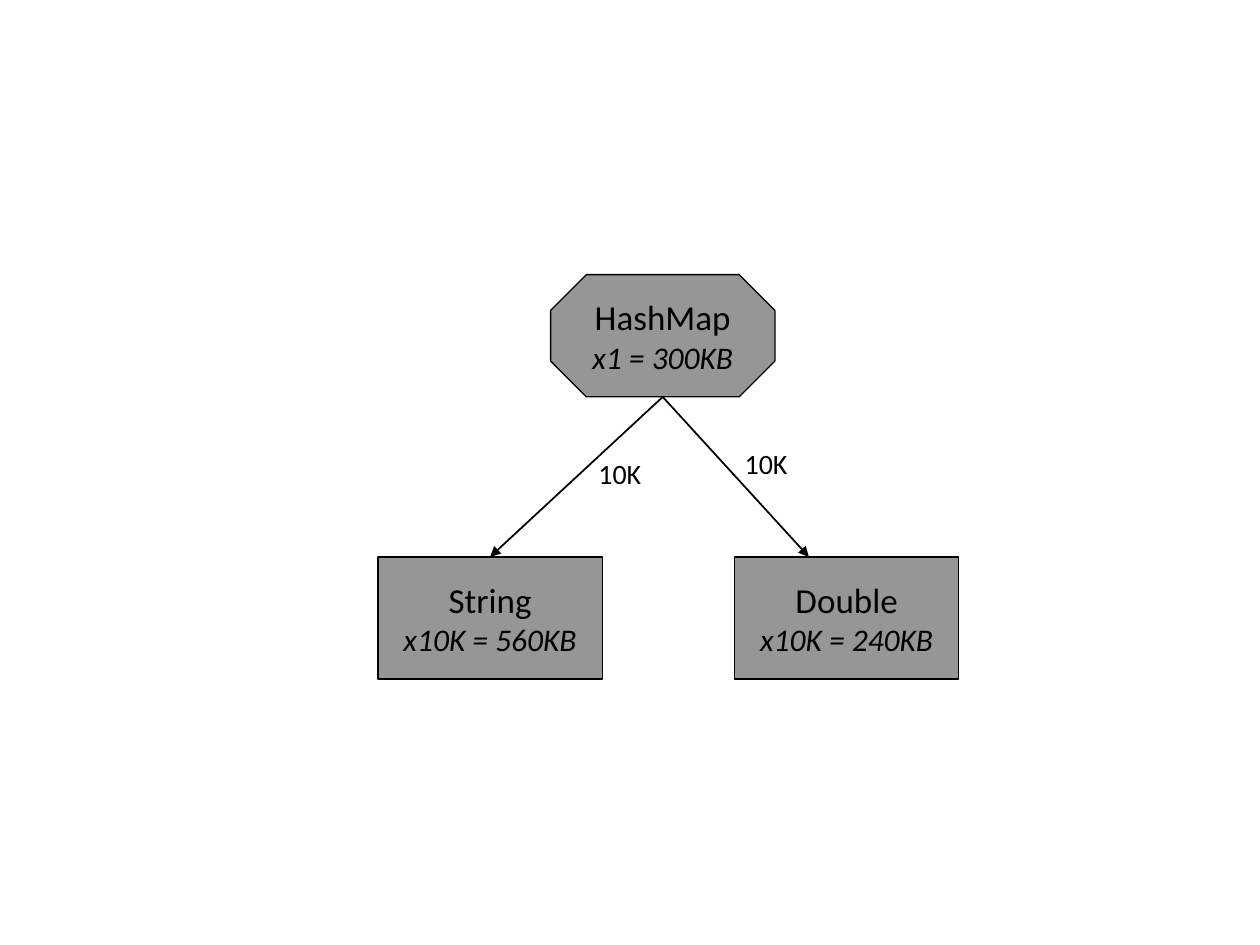
from dataclasses import dataclass

from lxml import etree
from pptx import Presentation
from pptx.dml.color import RGBColor
from pptx.enum.shapes import MSO_CONNECTOR, MSO_SHAPE
from pptx.enum.text import MSO_ANCHOR, MSO_AUTO_SIZE, PP_ALIGN
from pptx.oxml.ns import qn
from pptx.util import Inches, Pt

OCTAGON = MSO_SHAPE.OCTAGON
PROCESS = MSO_SHAPE.FLOWCHART_PROCESS
STRAIGHT = MSO_CONNECTOR.STRAIGHT
MIDDLE = MSO_ANCHOR.MIDDLE
GROW = MSO_AUTO_SIZE.SHAPE_TO_FIT_TEXT
FIXED = MSO_AUTO_SIZE.NONE
CENTER, LEFT = PP_ALIGN.CENTER, PP_ALIGN.LEFT

SLIDE_W, SLIDE_H = Inches(10), Inches(7.5)
COLORS = {"node": "969696", "ink": "000000"}
FRAME = {
    "margin_left": Inches(0.09),
    "margin_right": Inches(0.09),
    "margin_top": Inches(0.04),
    "margin_bottom": Inches(0.04),
    "vertical_anchor": MIDDLE,
    "word_wrap": False,
}
TITLE = {"size": Pt(20), "italic": False}
MEMORY = {"size": Pt(18), "italic": True}
COUNT = {"size": Pt(16), "italic": False}
NODE_W, NODE_H = 0.178, 0.97 / 7.5
COUNT_W, COUNT_H = 0.057, 0.048
MAP_TOP, ENTRY_TOP = 2.18 / 7.5, 4.42 / 7.5


@dataclass(frozen=True)
class Node:
    """A class and its memory use, placed by shares of the slide."""

    name: str
    memory: str
    left: float
    top: float
    outline: int = PROCESS


@dataclass(frozen=True)
class Reference:
    """An arrow from the map to an entry, with its count label."""

    end_x: float
    count: str
    count_left: float
    count_top: float


HASH_MAP = Node("HashMap", "x1 = 300KB", 0.437, MAP_TOP, OCTAGON)
ENTRIES = [
    Node("String", "x10K = 560KB", 0.3, ENTRY_TOP),
    Node("Double", "x10K = 240KB", 0.583, ENTRY_TOP),
]
REFERENCES = [
    Reference(0.389, "10K", 0.466, 3.58 / 7.5),
    Reference(0.642, "10K", 0.582, 3.5 / 7.5),
]


def across(share: float) -> int:
    """Turn a share of the slide's width into a length."""
    return round(SLIDE_W * share)


def down(share: float) -> int:
    """Turn a share of the slide's height into a length."""
    return round(SLIDE_H * share)


def color(key: str) -> RGBColor:
    """Look up a palette colour."""
    return RGBColor.from_string(COLORS[key])


def apply(target, values: dict) -> None:
    """Set every attribute in a dict of format values."""
    for attribute, value in values.items():
        setattr(target, attribute, value)


def write(frame, lines: list[tuple[str, dict]], alignment: int, sizing: int) -> None:
    """Fill a text frame with one paragraph per formatted line."""
    apply(frame, FRAME | {"auto_size": sizing})
    for index, (words, style) in enumerate(lines):
        paragraph = frame.add_paragraph() if index else frame.paragraphs[0]
        paragraph.alignment = alignment
        run = paragraph.add_run()
        run.text = words
        apply(run.font, style | {"name": "Calibri"})
        run.font.color.rgb = color("ink")


def draw_node(shapes, node: Node) -> None:
    """Draw a class box with its name and memory use."""
    box = shapes.add_shape(
        node.outline, across(node.left), down(node.top), across(NODE_W), down(NODE_H)
    )
    box.shadow.inherit = False
    box.fill.solid()
    box.fill.fore_color.rgb = color("node")
    box.line.color.rgb = color("ink")
    box.line.width = Pt(0.75)
    write(box.text_frame, [(node.name, TITLE), (node.memory, MEMORY)], CENTER, FIXED)


def draw_reference(shapes, reference: Reference) -> None:
    """Draw an arrow from the map to an entry, and its count."""
    arrow = shapes.add_connector(
        STRAIGHT,
        across(HASH_MAP.left + NODE_W / 2),
        down(HASH_MAP.top + NODE_H),
        across(reference.end_x),
        down(ENTRY_TOP),
    )
    arrow.line.color.rgb = color("ink")
    arrow.line.width = Pt(1)
    etree.SubElement(arrow.line._get_or_add_ln(), qn("a:tailEnd"), type="triangle")
    etree.SubElement(arrow._element.spPr, qn("a:effectLst"))
    count = shapes.add_textbox(
        across(reference.count_left),
        down(reference.count_top),
        across(COUNT_W),
        down(COUNT_H),
    )
    write(count.text_frame, [(reference.count, COUNT)], LEFT, GROW)


def main() -> None:
    """Build the slide and save it."""
    deck = Presentation()
    apply(deck, {"slide_width": SLIDE_W, "slide_height": SLIDE_H})
    shapes = deck.slides.add_slide(deck.slide_layouts[6]).shapes
    for node in (HASH_MAP, *ENTRIES):
        draw_node(shapes, node)
    for reference in REFERENCES:
        draw_reference(shapes, reference)
    deck.save("out.pptx")


if __name__ == "__main__":
    main()
